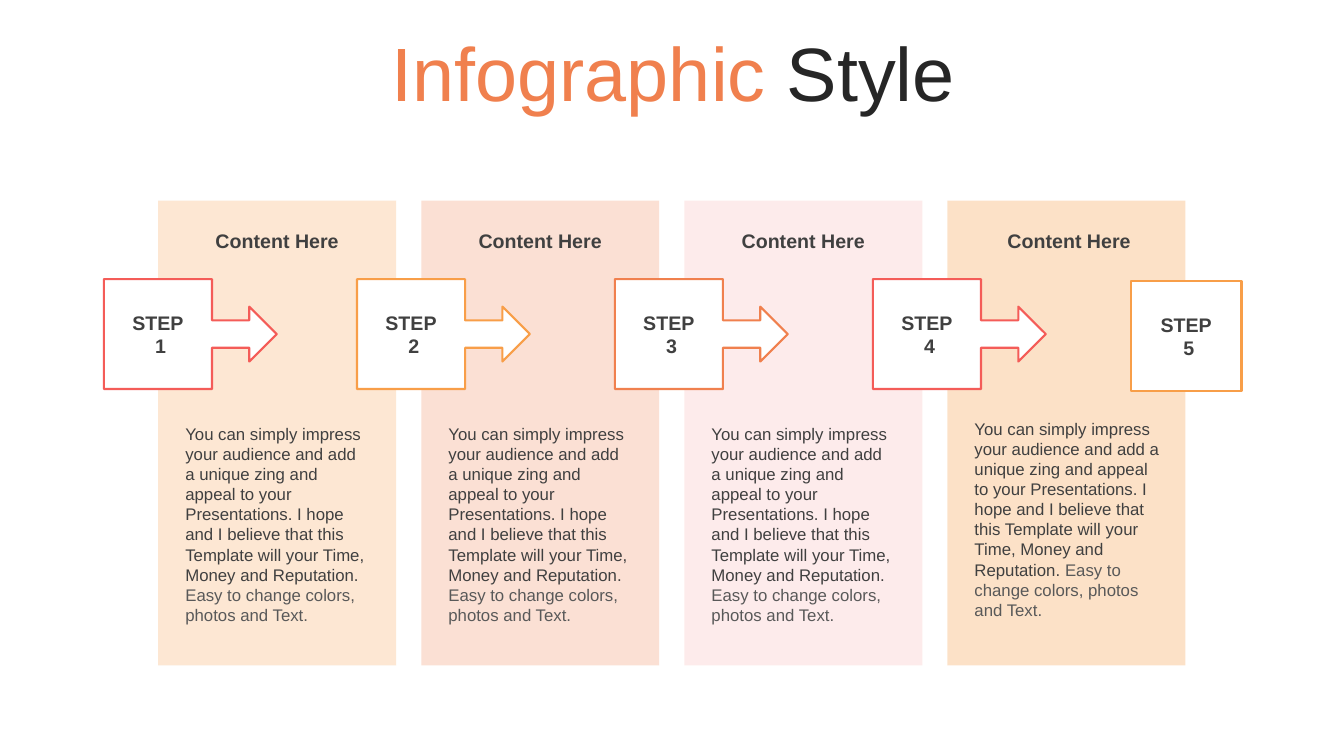
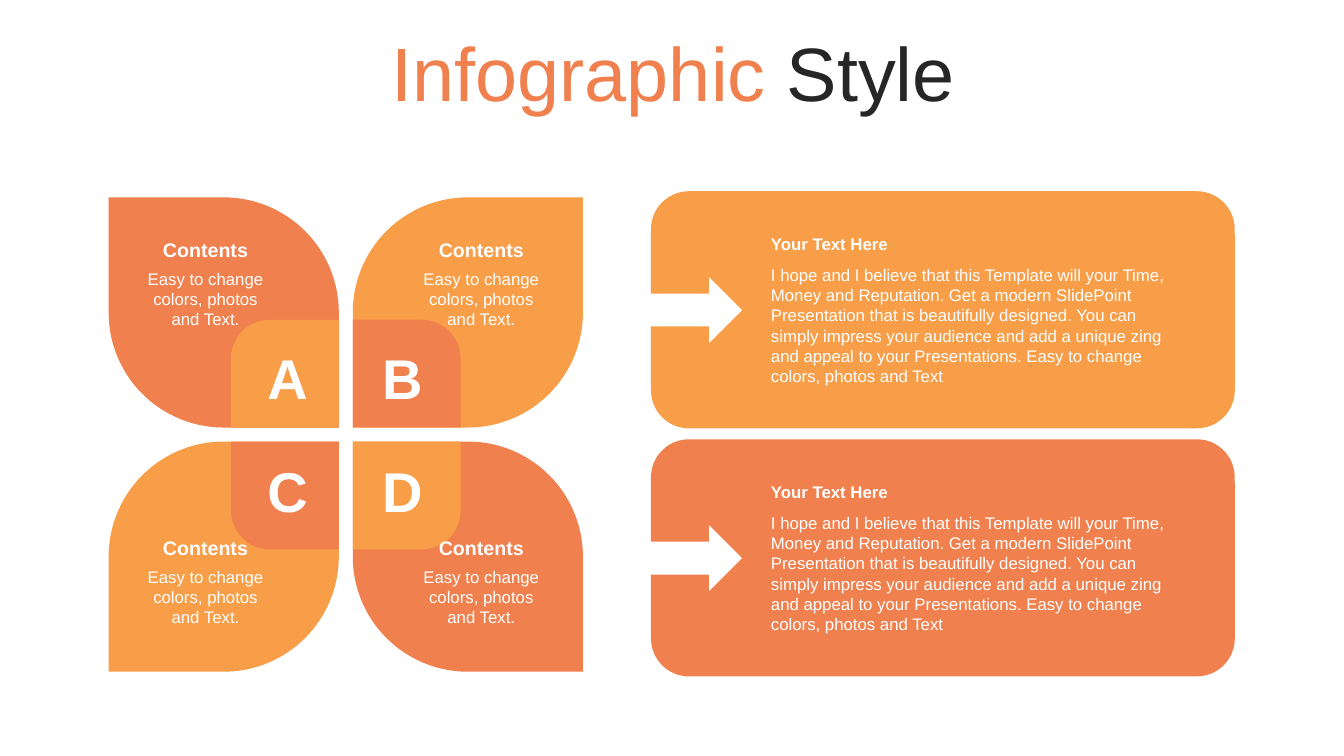
from lxml import etree
from pptx import Presentation
from pptx.dml.color import RGBColor
from pptx.enum import shapes, text
from pptx.oxml.ns import qn
from pptx.util import Pt

KIND = shapes.MSO_SHAPE
LEFT, MID = text.PP_ALIGN.LEFT, text.PP_ALIGN.CENTER
TOP, CENTRE = text.MSO_ANCHOR.TOP, text.MSO_ANCHOR.MIDDLE

FONT = "Arial"
WHITE = RGBColor(0xFF, 0xFF, 0xFF)
BLACK = RGBColor(0x26, 0x26, 0x26)
DARK = RGBColor(0x40, 0x40, 0x40)
GREY = RGBColor(0x59, 0x59, 0x59)
CORAL = RGBColor(0xF0, 0x80, 0x4E)
AMBER = RGBColor(0xF8, 0x9E, 0x48)
RED = RGBColor(0xF4, 0x5C, 0x58)

TITLE = [("Infographic", CORAL), (" Style", BLACK)]

# Slide 1: fill, opacity in percent, heading shift, body top, body width
PANELS = [
    (RGBColor(0xFC, 0xD8, 0xB6), 60, 0, 298.8, 145.4),
    (RGBColor(0xF9, 0xCC, 0xB8), 60, 0, 298.8, 145.4),
    (RGBColor(0xF8, 0x9D, 0x9B), 20, 0, 298.8, 145.4),
    (RGBColor(0xFB, 0xC5, 0x91), 50, 2, 295.2, 148.3),
]
HEAD = "Content Here"
BODY = [
    ("You can simply impress your audience and add a unique zing and appeal "
     "to your Presentations. I hope and I believe that this Template will "
     "your Time, Money and Reputation. ", DARK),
    ("Easy to change colors, photos and Text.", GREY),
]
# left, top, width, height, outline, preset
CALL = KIND.RIGHT_ARROW_CALLOUT
STEPS = [
    (74.2, 199.4, 123.5, 78.5, RED, CALL),
    (255, 199.4, 123.5, 78.5, AMBER, CALL),
    (439.2, 199.4, 123.5, 78.5, CORAL, CALL),
    (623.5, 199.4, 123.5, 78.5, RED, CALL),
    (807.8, 200.5, 79, 79, AMBER, KIND.RECTANGLE),
]

# Slide 2: letter, petal fill, tab fill, turn of the tab
PETALS = [
    ("A", CORAL, AMBER, 270),
    ("B", AMBER, CORAL, 0),
    ("C", AMBER, CORAL, 180),
    ("D", CORAL, AMBER, 90),
]
NOTE = ["Contents", "Easy to change colors, photos and Text."]
CARDS = [AMBER, CORAL]
STORY = [
    "Your Text Here",
    "I hope and I believe that this Template will your Time, Money and "
    "Reputation. Get a modern SlidePoint Presentation that is beautifully "
    "designed. You can simply impress your audience and add a unique zing and "
    "appeal to your Presentations. Easy to change colors, photos and Text",
]


def write(frame, *lines, sizes=(12,), bolds=(False,), color=DARK, align=LEFT,
          anchor=TOP, gap=0, lead=None):
    """Fill a frame; a line is a string or a list of (text, color) runs.

    The last size and bold value hold for all further lines.
    """
    frame.word_wrap = True
    frame.auto_size = text.MSO_AUTO_SIZE.NONE
    frame.vertical_anchor = anchor
    for i, line in enumerate(lines):
        para = frame.add_paragraph() if i else frame.paragraphs[0]
        para.alignment = align
        if lead:
            para.line_spacing = lead
        if i and gap:
            para.space_before = Pt(gap)
        runs = [(line, color)] if isinstance(line, str) else line
        for words, tint in runs:
            run = para.add_run()
            run.text = words
            font = run.font
            font.name = FONT
            font.size = Pt(sizes[min(i, len(sizes) - 1)])
            font.bold = bolds[min(i, len(bolds) - 1)]
            font.color.rgb = tint


def label(slide, x, y, w, h, *lines, **style):
    box = slide.shapes.add_textbox(Pt(x), Pt(y), Pt(w), Pt(h))
    write(box.text_frame, *lines, **style)


def draw(slide, kind, x, y, w, h, fill, line=None, adj=(), alpha=None, turn=0):
    item = slide.shapes.add_shape(kind, Pt(x), Pt(y), Pt(w), Pt(h))
    item.shadow.inherit = False
    item.rotation = turn
    for i, value in enumerate(adj):
        item.adjustments[i] = value
    item.fill.solid()
    item.fill.fore_color.rgb = fill
    if alpha:
        tint = item.fill._xPr.find(qn("a:solidFill"))[0]
        etree.SubElement(tint, qn("a:alpha")).set("val", str(alpha * 1000))
    if line:
        item.line.color.rgb = line
        item.line.width = Pt(1.5)
    else:
        item.line.fill.background()
    return item


def start(deck, layout):
    """Add a slide with the shared title."""
    slide = deck.slides.add_slide(layout)
    write(slide.shapes.title.text_frame, TITLE, sizes=(54,), align=MID,
          anchor=CENTRE, lead=0.9)
    return slide


def steps(slide):
    for i, (fill, alpha, shift, top, wide) in enumerate(PANELS):
        x = 113 + 187.9 * i
        draw(slide, KIND.RECTANGLE, x, 143.4, 170, 332, fill, alpha=alpha)
        label(slide, x + 12.3 + shift, 159.8, 145.4, 24.5, HEAD, sizes=(14,),
              bolds=(True,), align=MID)
        label(slide, x + 12.3, top, wide, 152.6, BODY)
    for n, (x, y, w, h, line, kind) in enumerate(STEPS, 1):
        adj = (0.25, 0.25, 0.25, 0.625) if kind == CALL else ()
        box = draw(slide, kind, x, y, w, h, WHITE, line, adj)
        write(box.text_frame, "STEP", f" {n}", sizes=(14,), bolds=(True,),
              align=MID, anchor=CENTRE)


def petals(slide):
    side, tab, mid_x, mid_y, half = 164.4, 77, 247, 310.4, 5
    for i, (mark, fill, tint, turn) in enumerate(PETALS):
        row, col = divmod(i, 2)

        def place(size):
            """Corner of a square set against the centre of the cross."""
            x = mid_x + half if col else mid_x - half - size
            y = mid_y + half if row else mid_y - half - size
            return x, y, size, size

        adj = (0.5, 0) if row != col else (0, 0.5)
        draw(slide, KIND.ROUND_2_DIAG_RECTANGLE, *place(side), fill, adj=adj)
        draw(slide, KIND.ROUND_1_RECTANGLE, *place(tab), tint, adj=(0.36,),
             turn=turn)
        label(slide, 182.7 + 82 * col, 242 + 80.6 * row, 45.4, 55.4, mark,
              sizes=(40,), bolds=(True,), color=WHITE, align=MID)
        label(slide, 95 + 197 * col, 166.5 + 212.6 * row, 103.7, 70.6, *NOTE,
              sizes=(14, 12), bolds=(True, False), color=WHITE, align=MID,
              gap=5)


def cards(slide):
    for i, fill in enumerate(CARDS):
        y = 136.6 + 177.2 * i
        draw(slide, KIND.ROUNDED_RECTANGLE, 465, y, 417, 169.4, fill,
             adj=(0.16,))
        draw(slide, KIND.RIGHT_ARROW, 464, y + 61.4, 66, 47, WHITE)
        label(slide, 543.6, y + 27, 308.9, 116, *STORY, bolds=(True, False),
              color=WHITE, gap=7.6)


def main():
    deck = Presentation()
    deck.slide_width, deck.slide_height = Pt(960), Pt(540)
    layout = deck.slide_layouts.get_by_name("Title Only")
    head = layout.placeholders[0]
    head.left, head.top = Pt(25.2), Pt(26.6)
    head.width, head.height = Pt(911.5), Pt(56.9)
    steps(start(deck, layout))
    last = start(deck, layout)
    petals(last)
    cards(last)
    deck.save("out.pptx")


if __name__ == "__main__":
    main()
